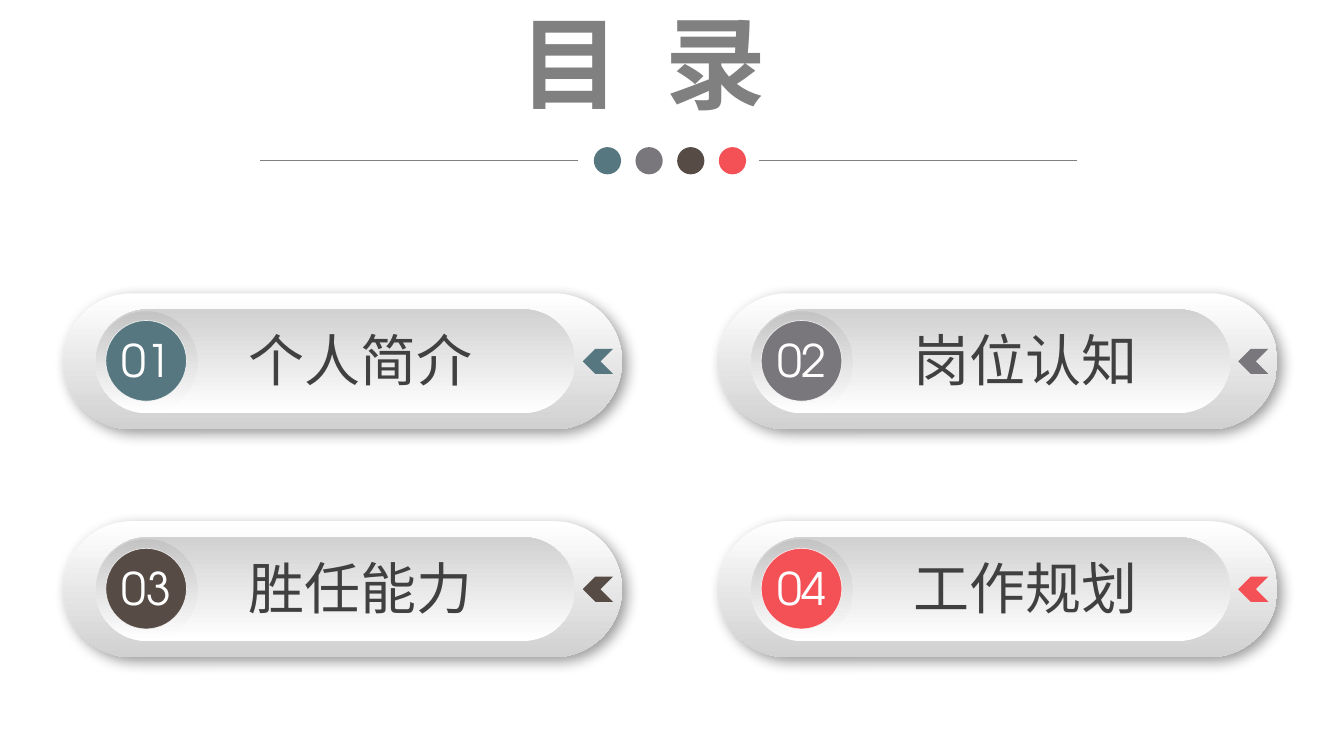
from lxml.etree import SubElement
from pptx import Presentation
from pptx.dml.color import RGBColor as RGB
from pptx.enum.shapes import MSO_CONNECTOR as LINK, MSO_SHAPE as KIND
from pptx.enum.text import MSO_AUTO_SIZE as AUTO
from pptx.oxml.ns import qn
from pptx.util import Inches, Pt

COLORS = {
    "teal": "56777F", "gray": "79777C", "brown": "564B45", "red": "F45157",
    "title": "808080", "label": "404040", "white": "FFFFFF",
    "silver": "D1D1D1", "steel": "C4C4C4", "black": "000000",
}
HAN = "Noto Sans CJK SC"
LATIN = "TeX Gyre Adventor"
ITEMS = [("01", "个人简介", "teal"), ("02", "岗位认知", "gray"),
         ("03", "胜任能力", "brown"), ("04", "工作规划", "red")]


def tint(name):
    return RGB.from_string(COLORS[name])


def add_shape(parent, kind, x, y, w, h, color=None):
    """Add a shape without line or shadow."""
    shape = parent.shapes.add_shape(kind, Inches(x), Inches(y), Inches(w), Inches(h))
    shape.shadow.inherit = False
    shape.line.fill.background()
    if color:
        shape.fill.solid()
        shape.fill.fore_color.rgb = tint(color)
    return shape


def shade(shape, dark, angle):
    """Fill with a gradient from white to dark; angle runs counterclockwise."""
    shape.fill.gradient()
    shape.fill.gradient_angle = angle
    for stop, name, place in zip(shape.fill.gradient_stops, ("white", dark), (0, 1)):
        stop.color.rgb = tint(name)
        stop.position = place


def set_alpha(color, percent):
    SubElement(color, qn("a:alpha"), val=str(percent * 1000))


def cast_shadow(shape):
    effects = shape._element.spPr.find(qn("a:effectLst"))
    shadow = SubElement(effects, qn("a:outerShdw"), blurRad=str(Pt(10)), dist=str(Pt(4)),
                        dir="2700000", algn="tl", rotWithShape="0")
    set_alpha(SubElement(shadow, qn("a:srgbClr"), val=COLORS["black"]), 40)


def add_text(parent, x, y, w, h):
    """Add an unwrapped text box and return its paragraph."""
    box = parent.shapes.add_textbox(Inches(x), Inches(y), Inches(w), Inches(h))
    frame = box.text_frame
    frame.word_wrap = False
    frame.auto_size = AUTO.SHAPE_TO_FIT_TEXT
    return frame.paragraphs[0]


def add_run(para, text, size, face, color, bold=False):
    run = para.add_run()
    run.text = text
    font = run.font
    font.size, font.name, font.bold = Pt(size), face, bold
    font.color.rgb = tint(color)
    SubElement(run._r.get_or_add_rPr(), qn("a:ea"), typeface=face)
    return run


def add_rule(slide, x, y, w):
    line = slide.shapes.add_connector(LINK.STRAIGHT, Inches(x), Inches(y),
                                      Inches(x + w), Inches(y))
    line.line.color.rgb = tint("title")
    line.line.width = Pt(0.5)
    SubElement(line._element.spPr, qn("a:effectLst"))


def add_header(slide, x, y, w):
    """Title above a rule that four dots interrupt."""
    para = add_text(slide, x + 2.47, y, 3.25, 1.31)
    for text in ("目", " ", "录"):
        run = add_run(para, text, 72, HAN, "title", True)
        if text == " ":
            run._r.get_or_add_rPr().set("spc", "1600")
    dots = slide.shapes.add_group_shape()
    for i, (_, _, color) in enumerate(ITEMS):
        add_shape(dots, KIND.OVAL, x + 3.31 + i * 1.24 / 3, y + 1.5, 0.27, 0.27, color)
    span = 3.15
    for left in (x, x + w - span):
        add_rule(slide, left, y + 1.63, span)


def add_item(slide, x, y, shift, number, label, color):
    """One numbered pill; shift moves its label to the right."""
    group = slide.shapes.add_group_shape()
    pill = add_shape(group, KIND.ROUNDED_RECTANGLE, x, y, 5.54, 1.35)
    shade(pill, "silver", 270)
    cast_shadow(pill)
    well = add_shape(group, KIND.ROUNDED_RECTANGLE, x + 0.32, y + 0.16, 4.75, 1.03)
    shade(well, "silver", 90)
    for shape in (pill, well):
        shape.adjustments[0] = 0.5
    ring = add_shape(group, KIND.OVAL, x + 0.32, y + 0.18, 1.01, 1.01)
    shade(ring, "steel", 90)
    disc = add_shape(group, KIND.OVAL, x + 0.42, y + 0.27, 0.8, 0.8, color)
    disc.line.color.rgb = tint("white")
    disc.line.width = Pt(0.5)
    set_alpha(disc.line._ln.find(".//" + qn("a:srgbClr")), 80)
    arrow = add_shape(group, KIND.CHEVRON, x + 5.15, y + 0.55, 0.3, 0.25, color)
    arrow.rotation = 180
    add_run(add_text(group, x + 0.48, y + 0.34, 0.73, 0.64), number, 32, LATIN, "white")
    add_run(add_text(group, x + 1.74 + shift, y + 0.27, 2.45, 0.77), label, 40, HAN, "label")


def main():
    deck = Presentation()
    deck.slide_width, deck.slide_height = Inches(13.33), Inches(7.5)
    slide = deck.slides.add_slide(deck.slide_layouts[6])
    add_header(slide, 2.58, -0.04, 8.1)
    for i, item in enumerate(ITEMS):
        row, col = divmod(i, 2)
        add_item(slide, 0.63 + col * 6.5, 2.91 + row * 2.26, col * 0.09, *item)
    deck.save("out.pptx")


if __name__ == "__main__":
    main()
